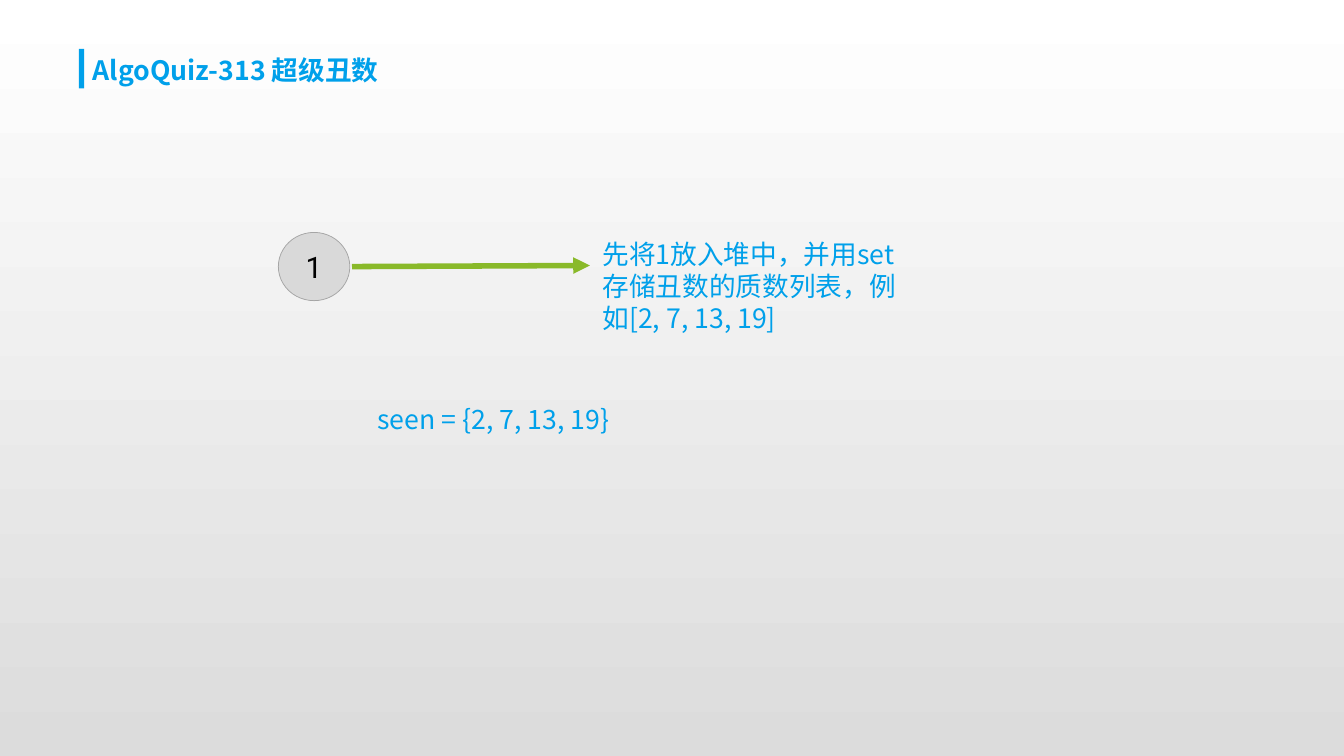
from dataclasses import dataclass

from lxml import etree
from pptx import Presentation
from pptx.dml.color import RGBColor
from pptx.enum.shapes import MSO_CONNECTOR, MSO_SHAPE
from pptx.enum.text import MSO_ANCHOR, PP_ALIGN
from pptx.oxml.ns import qn
from pptx.util import Inches, Pt

STRAIGHT = MSO_CONNECTOR.STRAIGHT
RECTANGLE, OVAL = MSO_SHAPE.RECTANGLE, MSO_SHAPE.OVAL
MIDDLE, CENTER = MSO_ANCHOR.MIDDLE, PP_ALIGN.CENTER


@dataclass(frozen=True)
class Theme:
    """Colours, fonts and sizes of the slide."""
    accent: str = "00A0EA"
    arrow: str = "89B929"
    node: str = "D9D9D9"
    node_line: str = "A5A5A5"
    node_text: str = "000000"
    background: tuple = ("FFFFFF", "DCDCDC")
    title_font: str = "Noto Sans CJK JP"
    body_font: str = "Noto Sans CJK SC"
    node_font: str = "Roboto"
    text_size: int = 18
    node_size: int = 20
    node_line_width: float = 0.5
    arrow_width: float = 3.75


THEME = Theme()


def rgb(code):
    """Turn a hex code into a colour."""
    return RGBColor.from_string(code)


def style_text(frame, text, font, size, color, bold=False):
    """Write one paragraph and format its run for Latin and Chinese glyphs."""
    frame.text = text
    span = frame.paragraphs[0].runs[0]
    span.font.name = font
    span.font.size = Pt(size)
    span.font.bold = bold
    span.font.color.rgb = rgb(color)
    east_asian = etree.SubElement(span.font._element, qn("a:ea"))
    east_asian.set("typeface", font)


def add_text(page, area, text, font, bold=False):
    """Add a wrapping text box in the accent colour."""
    box = page.shapes.add_textbox(*map(Inches, area))
    box.text_frame.word_wrap = True
    style_text(box.text_frame, text, font, THEME.text_size, THEME.accent, bold)


def add_solid(page, kind, area, fill):
    """Add a filled shape without outline or shadow."""
    shape = page.shapes.add_shape(kind, *map(Inches, area))
    shape.shadow.inherit = False
    shape.fill.solid()
    shape.fill.fore_color.rgb = rgb(fill)
    shape.line.fill.background()
    return shape


def add_node(page, area, label):
    """Add a round heap node with a centred label."""
    node = add_solid(page, OVAL, area, THEME.node)
    node.line.color.rgb = rgb(THEME.node_line)
    node.line.width = Pt(THEME.node_line_width)
    frame = node.text_frame
    style_text(frame, label, THEME.node_font, THEME.node_size, THEME.node_text)
    frame.vertical_anchor = MIDDLE
    frame.paragraphs[0].alignment = CENTER


def add_arrow(page, start, end):
    """Add a straight arrow from start to end."""
    arrow = page.shapes.add_connector(STRAIGHT, *map(Inches, start + end))
    arrow.line.color.rgb = rgb(THEME.arrow)
    arrow.line.width = Pt(THEME.arrow_width)
    properties = arrow._element.spPr
    head = etree.SubElement(properties.find(qn("a:ln")), qn("a:tailEnd"))
    head.set("type", "triangle")
    etree.SubElement(properties, qn("a:effectLst"))


def paint_background(page):
    """Fill the page with a gradient running from top to bottom."""
    fill = page.background.fill
    fill.gradient()
    fill.gradient_angle = 270
    for position, (stop, color) in enumerate(zip(fill.gradient_stops, THEME.background)):
        stop.position = position
        stop.color.rgb = rgb(color)


def main():
    """Build the slide and save the deck."""
    deck = Presentation()
    deck.slide_width, deck.slide_height = Inches(12.6), Inches(7.09)
    page = deck.slides.add_slide(deck.slide_layouts[6])
    paint_background(page)
    add_text(page, (0.77, 0.46, 6.29, 0.4), "AlgoQuiz-313 超级丑数", THEME.title_font, bold=True)
    add_solid(page, RECTANGLE, (0.74, 0.46, 0.05, 0.37), THEME.accent)
    add_node(page, (2.61, 2.18, 0.67, 0.64), "1")
    add_arrow(page, (3.3, 2.5), (5.53, 2.49))
    add_text(page, (5.55, 2.18, 2.95, 1.01),
             "先将1放入堆中，并用set存储丑数的质数列表，例如[2, 7, 13, 19]", THEME.body_font)
    add_text(page, (3.44, 3.73, 2.66, 0.4), "seen = {2, 7, 13, 19}", THEME.body_font)
    deck.save("out.pptx")


if __name__ == "__main__":
    main()
